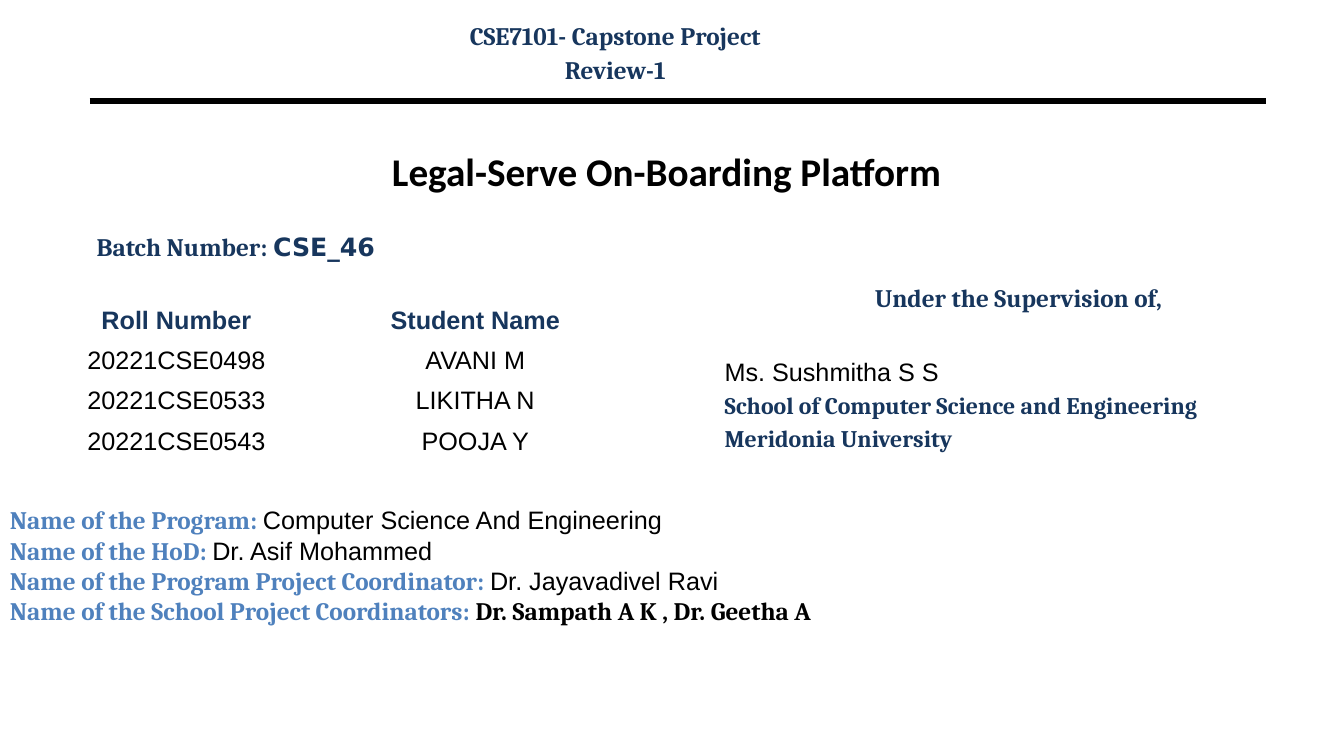
import pptx
import pptx.dml.color
import pptx.enum.shapes
import pptx.enum.text
import pptx.util
import lxml.etree

Pt = pptx.util.Pt
ALIGN = pptx.enum.text.PP_ALIGN
ANCHOR = pptx.enum.text.MSO_ANCHOR
COLORS = {"black": "000000", "navy": "17365D", "blue": "4F81BD"}

STUDENTS = [
    ("Roll Number", "Student Name"),
    ("20221CSE0498", "AVANI M"),
    ("20221CSE0533", "LIKITHA N"),
    ("20221CSE0543", "POOJA Y"),
]
SPARE_ROWS = 2
PROGRAM_DETAILS = [
    ("Name of the Program: ", "Computer Science And Engineering"),
    ("Name of the HoD: ", "Dr. Asif Mohammed"),
    ("Name of the Program Project Coordinator: ", "Dr. Jayavadivel Ravi"),
]
SCHOOL_COORDINATORS = ("Name of the School Project Coordinators: ",
                       "Dr. Sampath A K , Dr. Geetha A")


def write(paragraph, text, size=18, font="Cambria", color="navy", bold=True):
    """Append formatted text to a paragraph."""
    run = paragraph.add_run()
    run.text = text
    run.font.size = Pt(size)
    run.font.name = font
    run.font.bold = bold
    run.font.color.rgb = pptx.dml.color.RGBColor.from_string(COLORS[color])


def open_frame(slide, box, anchor=ANCHOR.TOP):
    """Add a wrapping text box and return its text frame."""
    frame = slide.shapes.add_textbox(*map(Pt, box)).text_frame
    frame.word_wrap = True
    frame.vertical_anchor = anchor
    return frame


def next_paragraph(frame, align=ALIGN.LEFT, before=0):
    """Return the unused first paragraph or a new one."""
    first = frame.paragraphs[0]
    paragraph = frame.add_paragraph() if first.runs else first
    paragraph.alignment = align
    paragraph.space_before = Pt(before)
    return paragraph


def add_header(slide, box):
    """Place the course heading and the rule below it."""
    left, top, width, height = box
    heading = open_frame(slide, box)
    write(next_paragraph(heading, ALIGN.CENTER), "CSE7101- Capstone Project")
    write(next_paragraph(heading, ALIGN.CENTER, 3.1), "Review-1")
    rule_y = Pt(top + height + 3.6)
    rule = slide.shapes.add_connector(
        pptx.enum.shapes.MSO_CONNECTOR.STRAIGHT,
        Pt(left - 159), rule_y, Pt(left + width + 248.5), rule_y)
    rule.line.width = Pt(4.5)
    rule.line.color.rgb = pptx.dml.color.RGBColor.from_string(COLORS["black"])
    lxml.etree.SubElement(rule._element.spPr, pptx.oxml.ns.qn("a:effectLst"))


def add_project_title(slide, box):
    """Place the project title with its hanging indent."""
    title = next_paragraph(open_frame(slide, box, ANCHOR.MIDDLE), ALIGN.CENTER)
    indents = title._p.get_or_add_pPr()
    indents.set("marL", str(Pt(27)))
    indents.set("indent", str(Pt(-15)))
    write(title, "Legal-Serve On-Boarding Platform", size=28, font="Calibri", color="black")


def add_batch(slide, box):
    """Place the batch number."""
    batch = next_paragraph(open_frame(slide, box))
    write(batch, "Batch Number: ")
    write(batch, "CSE_46", font="DejaVu Sans")


def add_supervision(slide, box):
    """Place the supervisor and the institution."""
    supervision = open_frame(slide, box)
    write(next_paragraph(supervision, ALIGN.CENTER), "Under the Supervision of,")
    write(next_paragraph(supervision, before=31), "Ms. Sushmitha S S",
          font="Arial", color="black", bold=False)
    for affiliation in ("School of Computer Science and Engineering", "Meridonia University"):
        write(next_paragraph(supervision, before=3.4), affiliation, size=17)


def add_students(slide, box):
    """Place the table of students."""
    left, top, width, height = box
    row_count = len(STUDENTS) + SPARE_ROWS
    students = slide.shapes.add_table(row_count, 2, *map(Pt, box)).table
    students.first_row = False
    students.horz_banding = False
    roll_width = 164
    students.columns[0].width = Pt(roll_width)
    students.columns[1].width = Pt(width - roll_width)
    for row in students.rows:
        row.height = Pt(height / row_count)
        for cell in row.cells:
            cell.fill.background()
            cell.vertical_anchor = ANCHOR.MIDDLE
    for row_index, entry in enumerate(STUDENTS):
        heading = row_index == 0
        for column_index, text in enumerate(entry):
            frame = students.cell(row_index, column_index).text_frame
            write(next_paragraph(frame, ALIGN.CENTER), text, font="Arial",
                  color="navy" if heading else "black", bold=heading)


def add_program_details(slide, box):
    """Place the labelled program contacts."""
    details = open_frame(slide, box)
    for label, value in PROGRAM_DETAILS:
        detail = next_paragraph(details)
        write(detail, label, color="blue")
        write(detail, value, font="Arial", color="black", bold=False)
    label, coordinators = SCHOOL_COORDINATORS
    school = next_paragraph(details)
    write(school, label, color="blue")
    write(school, coordinators, color="black")


def main():
    """Build and save the project review slide."""
    deck = pptx.Presentation()
    deck.slide_width = Pt(960)
    deck.slide_height = Pt(540)
    slide = deck.slides.add_slide(deck.slide_layouts[6])
    add_header(slide, (223, 10.8, 433, 57.6))
    add_project_title(slide, (62, 84, 816, 76))
    add_batch(slide, (62, 161.5, 346, 43))
    add_supervision(slide, (510.5, 198, 434, 159))
    add_students(slide, (44, 214.5, 427, 165))
    add_program_details(slide, (0, 357, 960, 123))
    deck.save("out.pptx")


if __name__ == "__main__":
    main()
